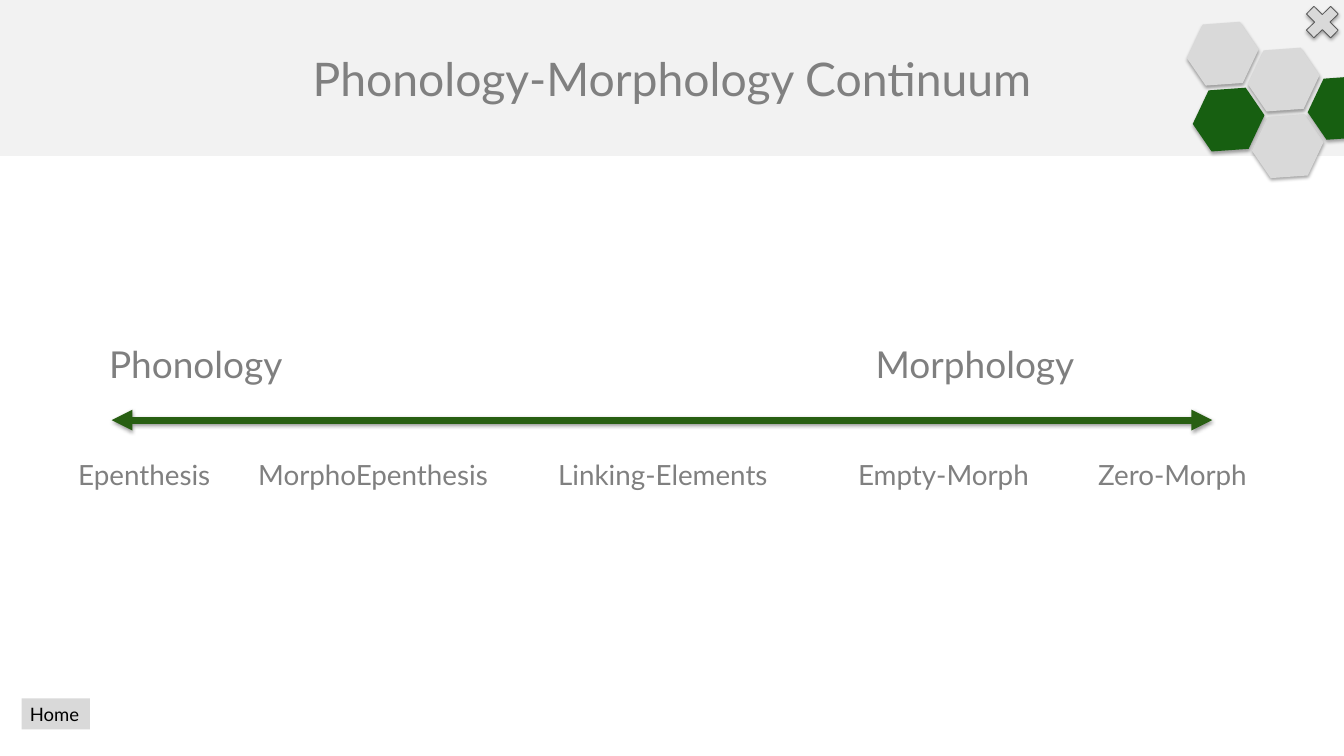
from lxml import etree
from pptx import Presentation
from pptx.dml.color import RGBColor
from pptx.enum import shapes as kinds, text as txt
from pptx.oxml import ns
from pptx.util import Inches, Pt

FONT = "Lato"
BAND = RGBColor(0xF2, 0xF2, 0xF2)
SILVER = RGBColor(0xD9, 0xD9, 0xD9)
GREEN = RGBColor(0x17, 0x5F, 0x11)
ARROW_GREEN = RGBColor(0x28, 0x5F, 0x12)
GREY = RGBColor(0x80, 0x80, 0x80)
POLE_GREY = RGBColor(0x7F, 0x7F, 0x7F)
DARK = RGBColor(0x59, 0x59, 0x59)
BLACK = RGBColor(0, 0, 0)


def add_xml(parent, tag, **attributes):
    """Append a DrawingML element to parent."""
    return etree.SubElement(parent, ns.qn(tag), attributes)


def write(frame, wording, size, color, align=txt.PP_ALIGN.LEFT, wrap=True,
          anchor=txt.MSO_ANCHOR.TOP, margins=(0.1, 0.05), tabs=()):
    """Fill a text frame with one formatted line; tabs are in inches."""
    frame.word_wrap = wrap
    frame.auto_size = txt.MSO_AUTO_SIZE.NONE
    frame.vertical_anchor = anchor
    frame.margin_left = frame.margin_right = Inches(margins[0])
    frame.margin_top = frame.margin_bottom = Inches(margins[1])
    line = frame.paragraphs[0]
    line.alignment = align
    if tabs:
        stops = add_xml(line._p.get_or_add_pPr(), "a:tabLst")
        for tab in tabs:
            add_xml(stops, "a:tab", pos=str(Inches(tab)), algn="l")
    run = line.add_run()
    run.text = wording
    run.font.name = FONT
    run.font.size = Pt(size)
    run.font.color.rgb = color


def cast_shadow(effects, distance, opacity):
    """Add a soft black shadow falling straight down."""
    shadow = add_xml(effects, "a:outerShdw", blurRad=str(Pt(3.1)),
                     dist=str(Pt(distance)), dir="5400000", rotWithShape="0")
    black = add_xml(shadow, "a:srgbClr", val="000000")
    add_xml(black, "a:alpha", val=str(opacity * 1000))


def add_figure(slide, kind, box, fill, shadowed=True):
    """Add a filled preset shape without outline."""
    figure = slide.shapes.add_shape(kind, *map(Inches, box))
    figure.fill.solid()
    figure.fill.fore_color.rgb = fill
    figure.line.fill.background()
    figure.shadow.inherit = False
    if shadowed:
        effects = figure._element.spPr.find(ns.qn("a:effectLst"))
        cast_shadow(effects, 1.8, 35)
    return figure


def add_labels(slide, box, words, size, color, tabs):
    """Spread words along one line of text by tab stops."""
    labels = slide.shapes.add_textbox(*map(Inches, box))
    write(labels.text_frame, "\t".join(words), size, color, tabs=tabs)


def add_heading(slide, box):
    """Format the title as a full-width band."""
    heading = slide.shapes.title
    heading.left, heading.top, heading.width, heading.height = map(Inches, box)
    heading.fill.solid()
    heading.fill.fore_color.rgb = BAND
    write(heading.text_frame, "Phonology-Morphology Continuum", 40, GREY,
          align=txt.PP_ALIGN.CENTER, anchor=txt.MSO_ANCHOR.MIDDLE,
          margins=(0.14, 0.07))


def add_honeycomb(slide, left, top):
    """Add the corner cluster of tilted hexagons."""
    cells = [(0.07, 0.79, GREEN), (0.78, 1.11, SILVER), (0.73, 0.31, SILVER),
             (1.45, 0.65, GREEN), (0, 0, SILVER)]
    for across, down, fill in cells:
        cell = add_figure(slide, kinds.MSO_SHAPE.HEXAGON,
                          (left + across, top + down, 0.85, 0.77), fill)
        cell.adjustments[0] = 0.292
        cell.rotation = 55.6


def add_home_button(slide, box):
    """Add the Home button."""
    button = add_figure(slide, kinds.MSO_SHAPE.RECTANGLE, box, SILVER, False)
    write(button.text_frame, "Home", 16, BLACK, wrap=False)


def add_close_button(slide, box):
    """Add the outlined closing cross."""
    cross = add_figure(slide, kinds.MSO_SHAPE.MATH_MULTIPLY, box, SILVER)
    cross.line.color.rgb = DARK
    cross.line.width = Pt(0.75)


def add_continuum(slide, left, top, width):
    """Add the double arrow with its poles above and its stages below."""
    add_labels(slide, (left + 0.37, top, 13.52, 0.64),
               ["Phonology", "Morphology"], 32, POLE_GREY, [9.2])
    start, end, level = (Inches(n) for n in
                         (left + 0.5, left + width - 0.65, top + 0.99))
    arrow = slide.shapes.add_connector(kinds.MSO_CONNECTOR.STRAIGHT,
                                       start, level, end, level)
    arrow.line.color.rgb = ARROW_GREEN
    arrow.line.width = Pt(6)
    outline = arrow.line._get_or_add_ln()
    for tip in ("a:headEnd", "a:tailEnd"):
        add_xml(outline, tip, type="triangle")
    cast_shadow(add_xml(arrow._element.spPr, "a:effectLst"), 1.6, 38)
    stages = ["Epenthesis", "MorphoEpenthesis", "Linking-Elements",
              "Empty-Morph", "Zero-Morph"]
    add_labels(slide, (left, top + 1.39, width, 0.5), stages, 24, GREY,
               [0.72 * step for step in (3, 8, 13, 17)])


def build():
    """Build and save the presentation."""
    deck = Presentation()
    deck.slide_width, deck.slide_height = Inches(16.13), Inches(9.07)
    slide = deck.slides.add_slide(deck.slide_layouts[5])
    add_heading(slide, (0, 0, 16.13, 1.87))
    add_honeycomb(slide, 14.25, 0.26)
    add_home_button(slide, (0.26, 8.38, 0.82, 0.37))
    add_continuum(slide, 0.84, 4.05, 14.36)
    add_close_button(slide, (15.59, -0.01, 0.56, 0.55))
    deck.save("out.pptx")


build()
